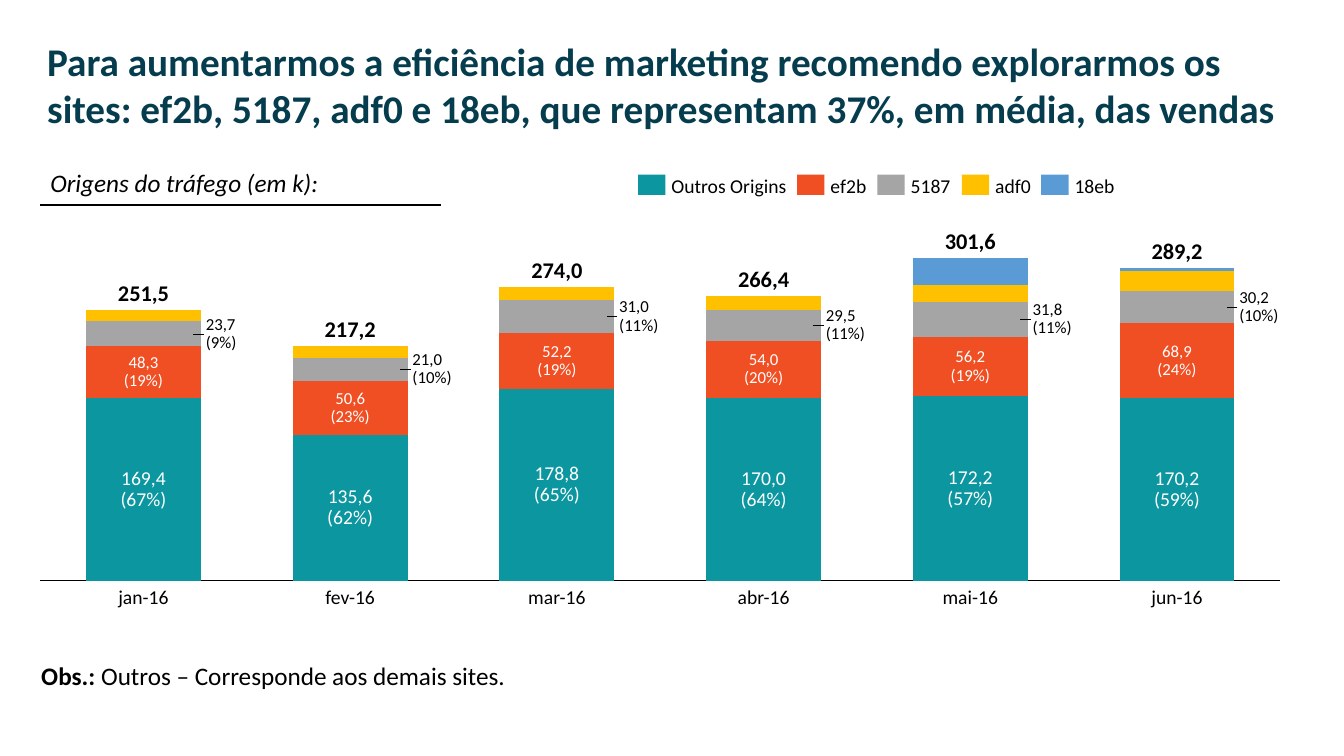
from copy import deepcopy
from lxml.etree import SubElement
from pptx import Presentation
from pptx.chart.data import CategoryChartData
from pptx.dml.color import RGBColor
from pptx.enum.chart import XL_CHART_TYPE, XL_TICK_LABEL_POSITION, XL_TICK_MARK
from pptx.enum.shapes import MSO_CONNECTOR, MSO_SHAPE
from pptx.enum.text import MSO_ANCHOR, PP_ALIGN
from pptx.oxml.ns import qn
from pptx.util import Cm, Pt

HUES = {
    "ink": "000000", "white": "FFFFFF", "title": "053D4E",
    "teal": "0B96A0", "red": "F04E23", "gray": "A5A5A5",
    "gold": "FFC000", "blue": "5B9BD5",
}
FONTS = {
    "title": {"size": Pt(28), "bold": True},
    "head": {"size": Pt(18), "italic": True},
    "note": {"size": Pt(18)},
    "total": {"size": Pt(16), "bold": True},
    "label": {"size": Pt(14)},
    "small": {"size": Pt(12)},
}
MONTHS = ["jan-16", "fev-16", "mar-16", "abr-16", "mai-16", "jun-16"]
SITES = [
    ("Outros Origins", "teal", 2.9, [95, 76, 100, 95, 96, 95]),
    ("ef2b", "red", 0.91, [27, 28, 29, 30, 31, 39]),
    ("5187", "gray", 1.02, [13, 12, 17, 16, 18, 17]),
    ("adf0", "gold", 0.89, [6, 6, 7, 7, 9, 10]),
    ("18eb", "blue", 1.02, [0, 0, 0, 0, 14, 2]),
]
LABELS = [
    ("251,5", "169,4\n(67%)", "48,3\n(19%)", "23,7\n(9%)"),
    ("217,2", "135,6\n(62%)", "50,6\n(23%)", "21,0\n(10%)"),
    ("274,0", "178,8\n(65%)", "52,2\n(19%)", "31,0\n(11%)"),
    ("266,4", "170,0\n(64%)", "54,0\n(20%)", "29,5\n(11%)"),
    ("301,6", "172,2\n(57%)", "56,2\n(19%)", "31,8\n(11%)"),
    ("289,2", "170,2\n(59%)", "68,9\n(24%)", "30,2\n(10%)"),
]
PEAK = 169
PLOT = {"x": 0.007, "y": 0.027, "w": 0.986, "h": 0.947}


def tint(name):
    return RGBColor.from_string(HUES[name])


def style(font, kind, hue):
    for key, val in {"name": "Calibri", **FONTS[kind]}.items():
        setattr(font, key, val)
    font.color.rgb = tint(hue)


def text(slide, box, words, kind, hue="ink", align=PP_ALIGN.LEFT,
         anchor=MSO_ANCHOR.MIDDLE, wrap=False, pad=0, space=0.9):
    frame = slide.shapes.add_textbox(*map(Cm, box)).text_frame
    form = {"word_wrap": wrap, "vertical_anchor": anchor}
    if pad is not None:
        form.update(margin_left=Cm(pad), margin_right=Cm(pad),
                    margin_top=0, margin_bottom=0)
    for key, val in form.items():
        setattr(frame, key, val)
    para = frame.paragraphs[0]
    para.text = words
    para.alignment = align
    para.line_spacing = space
    for run in para.runs:
        style(run.font, kind, hue)
    for gap in para._p.findall(qn("a:br")):
        gap.append(deepcopy(para.runs[0]._r.rPr))
    return para


def rule(slide, start, end, y, width):
    line = slide.shapes.add_connector(
        MSO_CONNECTOR.STRAIGHT, Cm(start), Cm(y), Cm(end), Cm(y))
    line.line.color.rgb = tint("ink")
    line.line.width = Pt(width)
    SubElement(line._element.spPr, qn("a:effectLst"))


def title(slide, box):
    text(slide, box,
         "Para aumentarmos a eficiência de marketing recomendo explorarmos os "
         "sites: ef2b, 5187, adf0 e 18eb, que representam 37%, em média, "
         "das vendas", "title", "title", anchor=MSO_ANCHOR.TOP,
         wrap=True, pad=None, space=1.0)


def head(slide, box):
    left, top, width, high = box
    text(slide, box, "Origens do tráfego (em k):", "head",
         anchor=MSO_ANCHOR.TOP, wrap=True, pad=None, space=1.0)
    rule(slide, left, left + width - 0.2, top + high + 0.05, 1.5)


def legend(slide, box):
    left, top, _, high = box
    for name, hue, width, _ in SITES:
        key = slide.shapes.add_shape(
            MSO_SHAPE.RECTANGLE, Cm(left), Cm(top), Cm(0.69), Cm(high))
        key.shadow.inherit = False
        key.fill.solid()
        key.fill.fore_color.rgb = tint(hue)
        key.line.fill.background()
        text(slide, (left + 0.84, top + 0.04, width + 0.1, 0.53), name,
             "label")
        left += 0.84 + width + 0.27


def chart(slide, box):
    data = CategoryChartData()
    data.categories = MONTHS
    for name, _, _, vals in SITES:
        data.add_series(name, vals)
    graph = slide.shapes.add_chart(
        XL_CHART_TYPE.COLUMN_STACKED, *map(Cm, box), data).chart
    graph.has_legend = graph.has_title = False
    graph.font.name = "Calibri"
    graph.font.size = Pt(10)
    graph.font.color.rgb = tint("ink")
    bars = graph.plots[0]
    for key, val in {"gap_width": 80, "overlap": 100,
                     "vary_by_categories": False}.items():
        setattr(bars, key, val)
    for row, (_, hue, _, _) in zip(bars.series, SITES):
        row.format.fill.solid()
        row.format.fill.fore_color.rgb = tint(hue)
    base, scale = graph.category_axis, graph.value_axis
    forms = [
        (base, {"tick_label_position": XL_TICK_LABEL_POSITION.NONE,
                "major_tick_mark": XL_TICK_MARK.NONE,
                "has_major_gridlines": False}),
        (scale, {"visible": False, "minimum_scale": 0,
                 "maximum_scale": PEAK, "has_major_gridlines": False}),
    ]
    for axis, form in forms:
        for key, val in form.items():
            setattr(axis, key, val)
    base.format.line.color.rgb = tint("ink")
    base.format.line.width = Pt(0.75)
    area = graph._chartSpace.chart.plotArea
    for old in area.findall(qn("c:layout")):
        area.remove(old)
    plan = SubElement(area, qn("c:layout"))
    area.insert(0, plan)
    spot = SubElement(plan, qn("c:manualLayout"))
    parts = {"layoutTarget": "inner", "xMode": "edge", "yMode": "edge", **PLOT}
    for key, val in parts.items():
        SubElement(spot, qn("c:" + key)).set("val", str(val))


def labels(slide, box):
    left, top, width, high = box
    step = width * PLOT["w"] / len(MONTHS)
    first = left + width * PLOT["x"] + step / 2
    floor = top + high * (PLOT["y"] + PLOT["h"])
    unit = high * PLOT["h"] / PEAK
    mid = PP_ALIGN.CENTER
    for num, (month, words) in enumerate(zip(MONTHS, LABELS)):
        x = first + num * step
        total, other, second, third = words
        low, next_, gray, *rest = [site[3][num] for site in SITES]
        y_low = floor - unit * low / 2
        y_next = floor - unit * (low + next_ / 2)
        y_gray = floor - unit * (low + next_ + gray / 2)
        peak = floor - unit * (low + next_ + gray + sum(rest))
        text(slide, (x - 0.82, peak - 0.7, 1.64, 0.61), total, "total",
             align=mid, anchor=MSO_ANCHOR.BOTTOM, pad=0.08)
        text(slide, (x - 0.75, y_low - 0.53, 1.5, 1.06), other, "label",
             "white", mid, pad=0.08)
        text(slide, (x - 0.6, y_next - 0.46, 1.2, 0.92), second, "small",
             "white", mid, pad=0.05)
        side = 0.89 if len(third) < 10 else 1.14
        text(slide, (x + 1.52, y_gray - 0.46, side, 0.92), third, "small",
             pad=0.05)
        rule(slide, x + 1.52, x + 1.25, y_gray, 0.5)
        text(slide, (x - 0.8, floor + 0.18, 1.6, 0.53), month, "label",
             align=mid, anchor=MSO_ANCHOR.TOP)


def note(slide, box):
    para = text(slide, box, "Obs.: ", "note", anchor=MSO_ANCHOR.TOP,
                pad=None, space=1.0)
    para.runs[0].font.bold = True
    run = para.add_run()
    run.text = "Outros – Corresponde aos demais sites."
    style(run.font, "note", "ink")


def main():
    deck = Presentation()
    deck.slide_width, deck.slide_height = Cm(33.87), Cm(19.05)
    slide = deck.slides.add_slide(deck.slide_layouts[6])
    graph = (0.79, 6.22, 31.7, 8.64)
    title(slide, (0.94, 0.81, 32, 2.64))
    head(slide, (1.02, 4.09, 10.29, 1.02))
    legend(slide, (16.08, 4.4, 12.2, 0.51))
    chart(slide, graph)
    labels(slide, graph)
    note(slide, (0.79, 16.51, 12.32, 1.02))
    deck.save("out.pptx")


if __name__ == "__main__":
    main()
